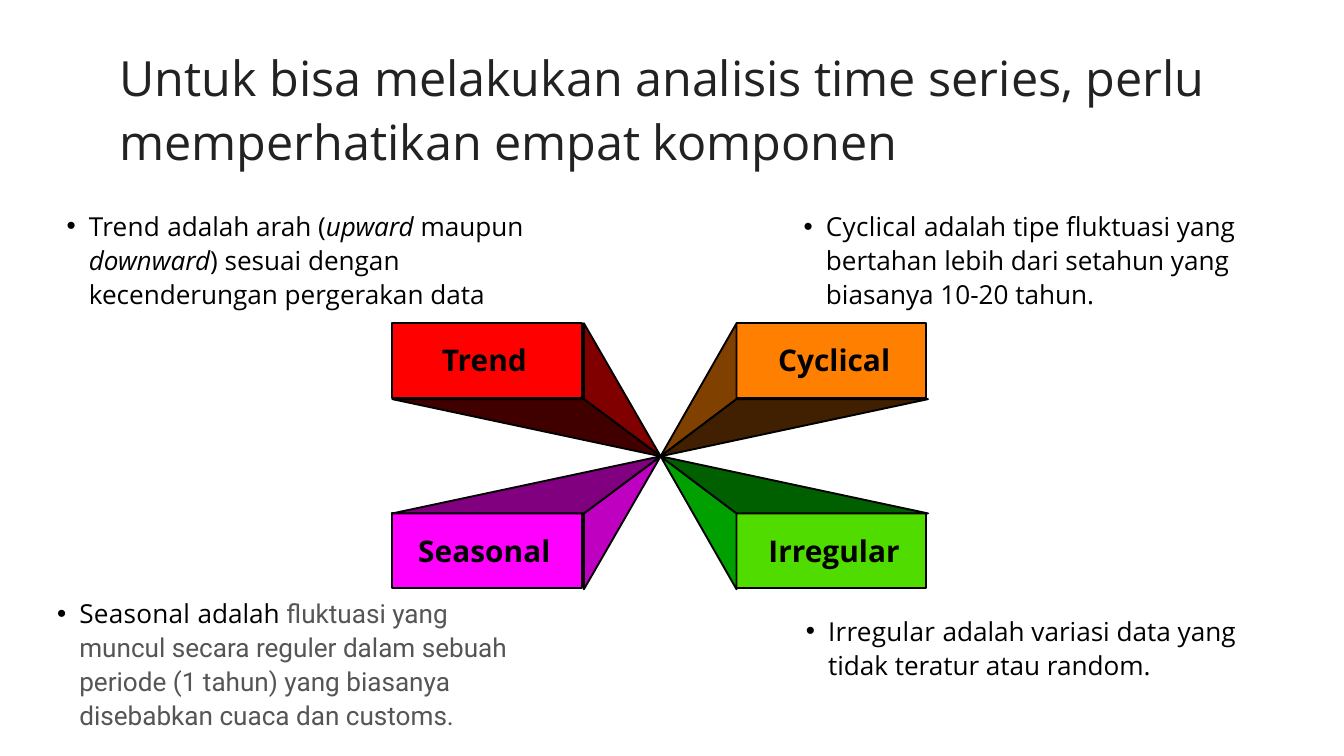
from lxml.etree import SubElement
from pptx import Presentation
from pptx.dml.color import RGBColor
from pptx.enum.shapes import MSO_SHAPE as Shape
from pptx.enum.text import MSO_ANCHOR as Anchor, MSO_AUTO_SIZE as AutoSize, PP_ALIGN as Align
from pptx.oxml.ns import qn
from pptx.util import Cm, Pt

COLORS = {
    "black": "000000", "title": "222222", "gray": "555555",
    "red": "FF0000", "red side": "800000", "red edge": "400000",
    "pink": "FF00FF", "pink side": "C000C0", "pink edge": "800080",
    "orange": "FF8000", "orange side": "804000", "orange edge": "402000",
    "green": "51DC00", "green side": "00A000", "green edge": "006000",
}
TITLE = "Untuk bisa melakukan analisis time series, perlu memperhatikan empat komponen"

COMPONENTS = [
    {"name": "Trend", "color": "red", "column": "left", "row": "top",
     "note_at": (1.68, 7.85), "note_height": 3.78,
     "note": [("adalah arah (", ""), ("upward", "italic"), (" maupun ", ""), ("downward", "italic"),
              (") sesuai dengan kecenderungan pergerakan data", "")]},
    {"name": "Seasonal", "color": "pink", "column": "left", "row": "bottom",
     "note_at": (1.32, 22.5), "note_height": 5.05,
     "note": [("adalah ", ""),
              ("fluktuasi yang muncul secara reguler dalam sebuah periode (1 tahun) "
               "yang biasanya disebabkan cuaca dan customs.", "gray")]},
    {"name": "Cyclical", "color": "orange", "column": "right", "row": "top",
     "note_at": (29.54, 7.87), "note_height": 3.78,
     "note": [("adalah tipe fluktuasi yang bertahan lebih dari setahun yang biasanya 10-20 tahun.", "")]},
    {"name": "Irregular", "color": "green", "column": "right", "row": "bottom",
     "note_at": (29.62, 23.16), "note_height": 2.49,
     "note": [("adalah variasi data yang tidak teratur atau random.", "")]},
]

CENTER = (24.97, 17.25)
COLUMNS = {"left": {"outer": 14.83, "inner": 22.07, "block": 14.83, "label": 18.31},
           "right": {"outer": 35.08, "inner": 27.84, "block": 27.84, "label": 31.53}}
ROWS = {"top": {"outer": 12.22, "inner": 15.09, "block": 12.22, "label": 13.61},
        "bottom": {"outer": 22.28, "inner": 19.41, "block": 19.41, "label": 20.83}}
BLOCK_SIZE = (7.16, 2.82)
LABEL_SIZE = (6, 1.62)
NOTE_WIDTH = 18.21


def rgb(name):
    return RGBColor.from_string(COLORS[name])


def paint(shape, color):
    shape.shadow.inherit = False
    shape.fill.solid()
    shape.fill.fore_color.rgb = rgb(color)
    shape.line.color.rgb = rgb("black")
    shape.line.width = Pt(2)


def set_font(font, size, color, bold=False):
    font.name = "Open Sans"
    font.size = Pt(size)
    font.bold = bold
    font.color.rgb = rgb(color)


def clear_margins(frame):
    frame.margin_left = frame.margin_right = frame.margin_top = frame.margin_bottom = 0
    frame.word_wrap = True
    frame.auto_size = AutoSize.NONE
    frame.vertical_anchor = Anchor.TOP


def add_title(page):
    title = page.shapes.title
    title.left, title.top, title.width, title.height = Cm(4.52), Cm(1.65), Cm(41.76), Cm(4.72)
    clear_margins(title.text_frame)
    title.text_frame.text = TITLE
    para = title.text_frame.paragraphs[0]
    para.alignment = Align.LEFT
    para.line_spacing = Pt(67.6)
    set_font(para.font, 52, "title")


def add_face(page, points, color):
    corners = [(Cm(x), Cm(y)) for x, y in points]
    builder = page.shapes.build_freeform(*corners[0])
    builder.add_line_segments(corners[1:], close=True)
    paint(builder.convert_to_shape(), color)


def add_block(page, component):
    column, row = COLUMNS[component["column"]], ROWS[component["row"]]
    color = component["color"]
    width, height = BLOCK_SIZE
    block = page.shapes.add_shape(Shape.RECTANGLE, Cm(column["block"]), Cm(row["block"]), Cm(width), Cm(height))
    paint(block, color)
    inner_corner = (column["inner"], row["inner"])
    add_face(page, [(column["inner"], row["outer"]), CENTER, inner_corner], f"{color} side")
    add_face(page, [(column["outer"], row["inner"]), inner_corner, CENTER], f"{color} edge")


def add_label(page, component):
    x, y = COLUMNS[component["column"]]["label"], ROWS[component["row"]]["label"]
    width, height = LABEL_SIZE
    box = page.shapes.add_textbox(Cm(x - width / 2), Cm(y - height / 2), Cm(width), Cm(height))
    frame = box.text_frame
    frame.word_wrap = True
    frame.vertical_anchor = Anchor.MIDDLE
    frame.text = component["name"]
    para = frame.paragraphs[0]
    para.alignment = Align.CENTER
    set_font(para.font, 32, "black", bold=True)


def add_note(page, component):
    left, top = component["note_at"]
    box = page.shapes.add_textbox(Cm(left), Cm(top), Cm(NOTE_WIDTH), Cm(component["note_height"]))
    clear_margins(box.text_frame)
    para = box.text_frame.paragraphs[0]
    properties = para._p.get_or_add_pPr()
    properties.set("marL", str(Cm(1.68)))
    properties.set("indent", str(Cm(-0.84)))
    SubElement(properties, qn("a:buFont"), typeface="Arial")
    SubElement(properties, qn("a:buChar"), char="•")
    para.line_spacing = Pt(36.4)
    set_font(para.font, 28, "black")
    heading = para.add_run()
    heading.text = component["name"] + " "
    heading._r.get_or_add_rPr().set("spc", "30")
    for text, style in component["note"]:
        span = para.add_run()
        span.text = text
        if style == "italic":
            span.font.italic = True
        elif style == "gray":
            span.font.name = "Roboto"
            span.font.color.rgb = rgb("gray")


def main():
    deck = Presentation()
    deck.slide_width, deck.slide_height = Cm(50.8), Cm(28.58)
    page = deck.slides.add_slide(deck.slide_layouts[5])
    add_title(page)
    for add_part in (add_block, add_label, add_note):
        for component in COMPONENTS:
            add_part(page, component)
    deck.save("out.pptx")


if __name__ == "__main__":
    main()
